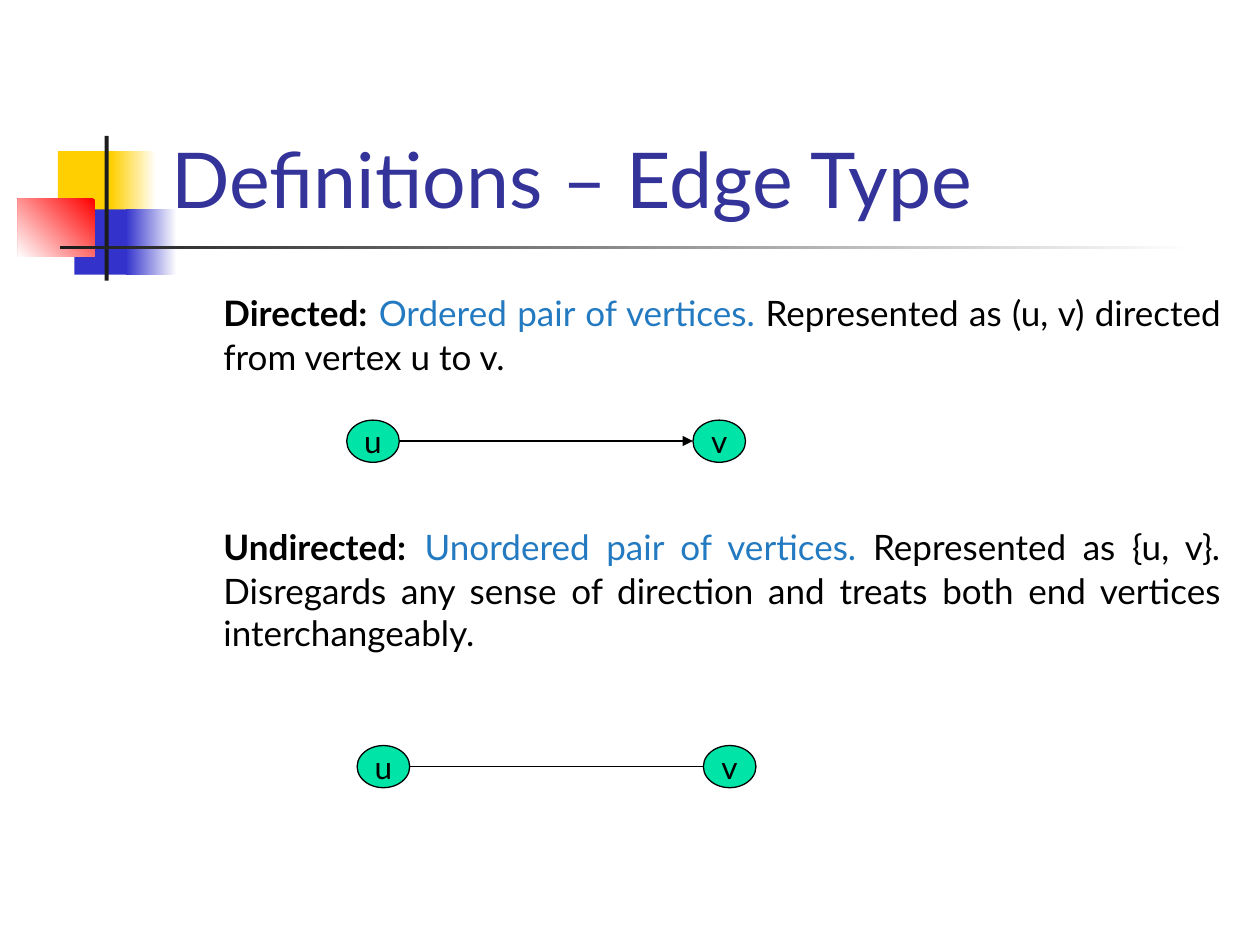
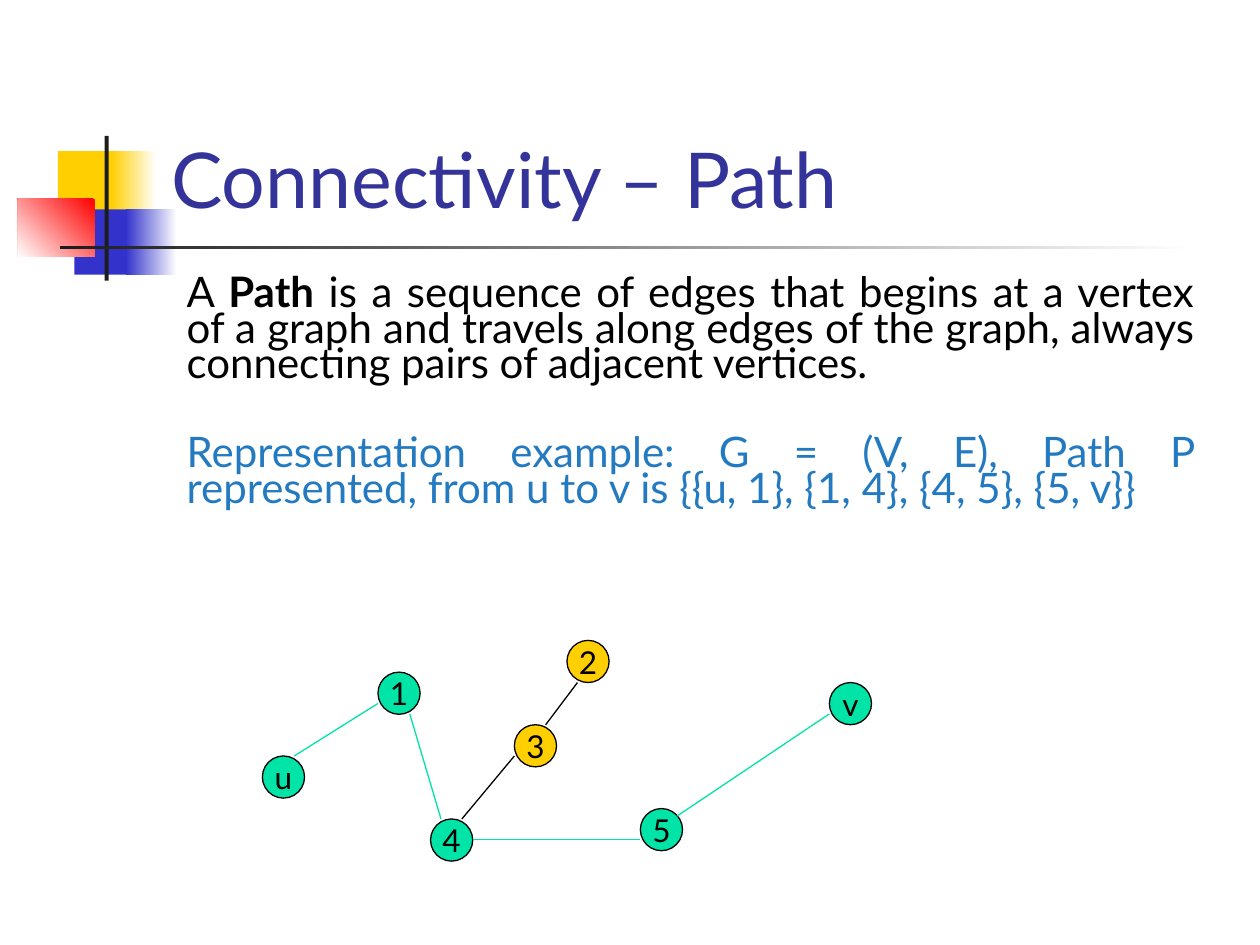
"""Build two slides on graph definitions: edge types and paths."""
from lxml.etree import SubElement
from pptx import Presentation
from pptx.dml.color import RGBColor
from pptx.enum.shapes import MSO_CONNECTOR, MSO_SHAPE
from pptx.enum.text import MSO_ANCHOR, MSO_AUTO_SIZE, PP_ALIGN
from pptx.oxml.ns import qn
from pptx.util import Cm, Pt

BLACK = RGBColor(0x00, 0x00, 0x00)
WHITE = RGBColor(0xFF, 0xFF, 0xFF)
CHARCOAL = RGBColor(0x1C, 0x1C, 0x1C)
RED = RGBColor(0xFF, 0x00, 0x00)
YELLOW = RGBColor(0xFF, 0xCF, 0x01)
BLUE = RGBColor(0x33, 0x33, 0xCC)
TITLE_BLUE = RGBColor(0x33, 0x33, 0x99)
ACCENT_BLUE = RGBColor(0x23, 0x7A, 0xC1)
GREEN = RGBColor(0x00, 0xE4, 0xA8)
FONT = "Lato"


def write(para, text, size=20, color=BLACK, bold=False, italic=False):
    span = para.add_run()
    span.text = text
    span.font.name = FONT
    span.font.size = Pt(size)
    span.font.bold = bold
    span.font.italic = italic
    span.font.color.rgb = color


def draw_edge(page, start, end, color=BLACK, arrow=False):
    ends = [Cm(value) for value in (*start, *end)]
    edge = page.shapes.add_connector(MSO_CONNECTOR.STRAIGHT, *ends)
    edge.line.color.rgb = color
    edge.line.width = Pt(0.75)
    properties = edge.element.spPr
    if arrow:
        SubElement(properties.find(qn("a:ln")), qn("a:tailEnd"), type="triangle")
    SubElement(properties, qn("a:effectLst"))


deck = Presentation()
deck.slide_width, deck.slide_height = Cm(25.4), Cm(19.05)
layout = deck.slide_layouts[1]
for holder in list(layout.placeholders):
    if holder.placeholder_format.idx >= 10:
        holder.element.getparent().remove(holder.element)

slides = [
    {
        "title": "Definitions – Edge Type",
        "body": (3.28, 5.61, 21.59, 11.43),
        "line_spacing": 1.0,
        "gap": 81,
        "paragraphs": [
            [
                ("Directed:", {"bold": True}),
                (" ", {"size": 24, "italic": True}),
                ("Ordered pair of vertices. ", {"color": ACCENT_BLUE}),
                ("Represented as (u, v) directed from vertex u to v.", {}),
            ],
            [
                ("Undirected:", {"bold": True}),
                (" ", {"size": 24}),
                ("Unordered pair of vertices. ", {"color": ACCENT_BLUE}),
                ("Represented as {u, v}", {}),
                (". ", {"italic": True}),
                ("Disregards any sense of direction and treats both end vertices "
                 "interchangeably.", {}),
            ],
        ],
        "node_width": 1.06,
        "nodes": [
            ("u", 6.99, 8.47, GREEN),
            ("v", 13.97, 8.47, GREEN),
            ("u", 7.2, 15.03, GREEN),
            ("v", 14.18, 15.03, GREEN),
        ],
        "edges": [
            ((8.05, 8.89), (13.97, 8.89), BLACK, True),
            ((8.26, 15.45), (14.18, 15.45), BLACK, False),
        ],
    },
    {
        "title": "Connectivity – Path",
        "body": (2.54, 5.51, 21.79, 6.55),
        "line_spacing": 0.7,
        "gap": 31,
        "paragraphs": [
            [
                ("A ", {"size": 24}),
                ("Path", {"size": 24, "bold": True}),
                (" is a sequence of edges that begins at a vertex of a graph and "
                 "travels along edges of the graph, always connecting pairs of "
                 "adjacent vertices.", {"size": 24}),
            ],
            [
                ("Representation example: G = (V, E), Path P represented, from u to v "
                 "is {{u, 1}, {1, 4}, {4, 5}, {5, v}}",
                 {"size": 24, "color": ACCENT_BLUE}),
            ],
        ],
        "node_width": 0.85,
        "nodes": [
            ("1", 7.62, 13.55, GREEN),
            ("u", 5.29, 15.24, GREEN),
            ("3", 10.37, 14.61, YELLOW),
            ("4", 8.68, 16.51, GREEN),
            ("5", 12.91, 16.3, GREEN),
            ("2", 11.43, 12.91, YELLOW),
            ("v", 16.72, 13.76, GREEN),
        ],
        "edges": [
            ((5.93, 15.24), (7.62, 14.18), GREEN, False),
            ((8.26, 14.39), (8.89, 16.51), GREEN, False),
            ((9.53, 16.93), (12.91, 16.93), GREEN, False),
            ((13.65, 16.45), (16.72, 14.39), GREEN, False),
            ((11.64, 13.76), (11.0, 14.61), BLACK, False),
            ((10.37, 15.24), (9.31, 16.51), BLACK, False),
        ],
    },
]

for content in slides:
    page = deck.slides.add_slide(layout)

    title = page.shapes.title
    title.left, title.top, title.width, title.height = (
        Cm(3.2), Cm(0.58), Cm(21.64), Cm(4.06))
    title.text_frame.vertical_anchor = MSO_ANCHOR.BOTTOM
    title.text_frame.auto_size = MSO_AUTO_SIZE.NONE
    para = title.text_frame.paragraphs[0]
    para.alignment = PP_ALIGN.LEFT
    write(para, content["title"], size=44, color=TITLE_BLUE)

    body = page.placeholders[1]
    body.left, body.top, body.width, body.height = map(Cm, content["body"])
    frame = body.text_frame
    frame.auto_size = MSO_AUTO_SIZE.NONE
    for index, spans in enumerate(content["paragraphs"]):
        para = frame.add_paragraph() if index else frame.paragraphs[0]
        para.alignment = PP_ALIGN.JUSTIFY
        para.line_spacing = content["line_spacing"]
        para.space_before = Pt(content["gap"] if index else 0)
        for text, style in spans:
            write(para, text, **style)
    for properties in body.element.iter(qn("a:pPr")):
        properties.set("marL", str(Cm(0.97)))
        properties.set("indent", "0")
        SubElement(properties, qn("a:buNone"))

    for label, left, top, color in content["nodes"]:
        node = page.shapes.add_shape(
            MSO_SHAPE.OVAL, Cm(left), Cm(top), Cm(content["node_width"]), Cm(0.85))
        node.shadow.inherit = False
        node.fill.solid()
        node.fill.fore_color.rgb = color
        node.line.color.rgb = BLACK
        node.line.width = Pt(0.75)
        node.text_frame.word_wrap = False
        node.text_frame.vertical_anchor = MSO_ANCHOR.MIDDLE
        para = node.text_frame.paragraphs[0]
        para.alignment = PP_ALIGN.CENTER
        write(para, label, size=18)

    for start, end, color, arrow in content["edges"]:
        draw_edge(page, start, end, color, arrow)

ornaments = [
    ((1.17, 3.05, 1.22, 1.32), [YELLOW], 0),
    ((2.24, 3.05, 0.91, 1.32), [WHITE, YELLOW], 180),
    ((1.5, 4.22, 1.17, 1.32), [BLUE], 0),
    ((2.54, 4.22, 1.02, 1.32), [WHITE, BLUE], 180),
    ((0.36, 4.01, 1.55, 1.17), [RED, WHITE], 225),
    ((2.11, 2.74, 0.08, 2.92), [CHARCOAL], 0),
    ((1.22, 4.95, 22.86, 0.08), [WHITE, CHARCOAL], 180),
]
blocks = []
for bounds, colors, angle in ornaments:
    block = page.shapes.add_shape(MSO_SHAPE.RECTANGLE, *map(Cm, bounds))
    block.shadow.inherit = False
    block.line.fill.background()
    if len(colors) == 1:
        block.fill.solid()
        block.fill.fore_color.rgb = colors[0]
    else:
        block.fill.gradient()
        block.fill.gradient_angle = angle
        for stop, color in zip(block.fill.gradient_stops, colors):
            stop.color.rgb = color
    blocks.append(block)
for block in blocks:
    layout.shapes.element.append(block.element)

deck.save("out.pptx")
